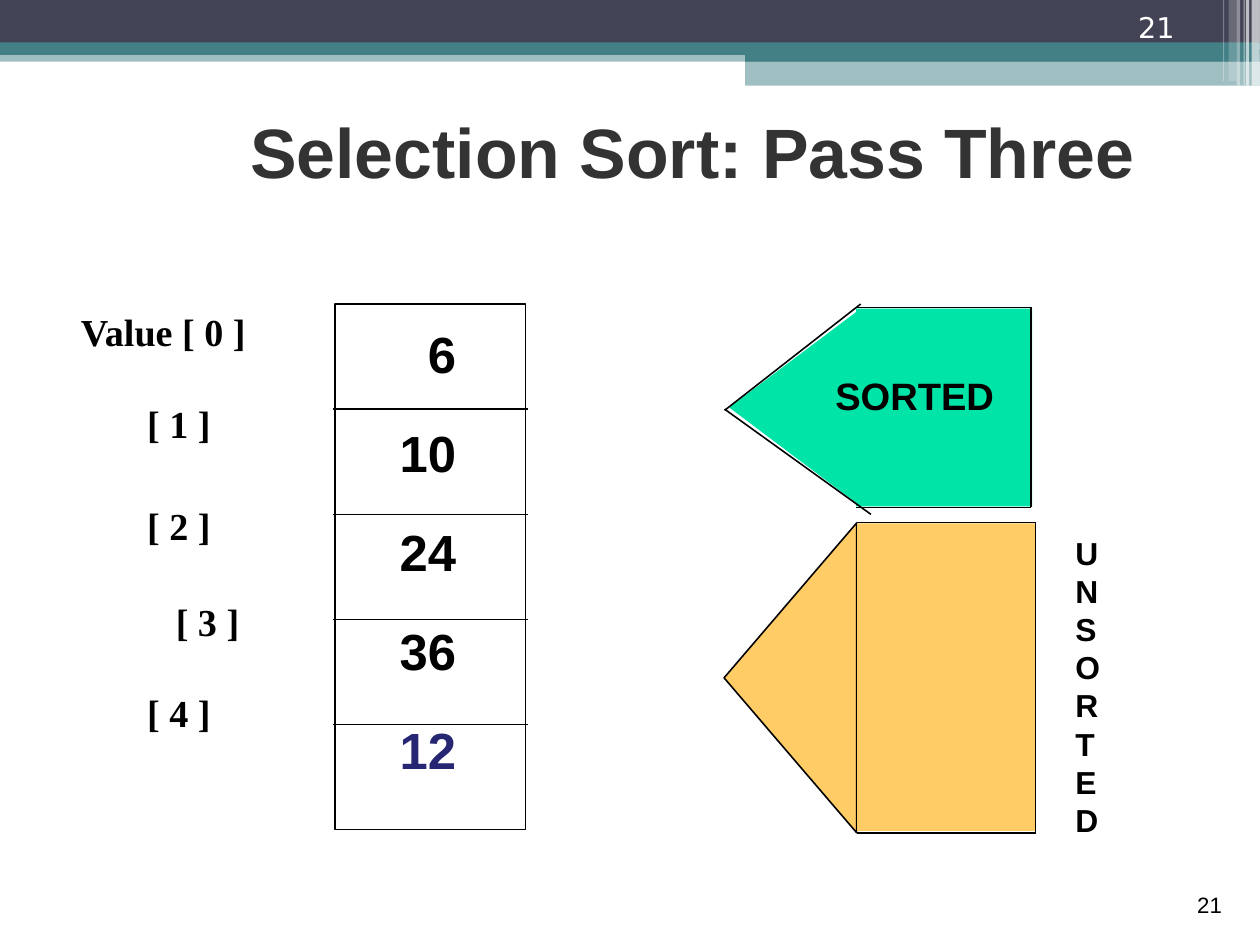
import pptx
import pptx.util
import pptx.dml.color
import pptx.enum.shapes
import pptx.enum.text
import pptx.oxml
import pptx.oxml.ns
import lxml.etree

Inches = pptx.util.Inches
Pt = pptx.util.Pt
Kind = pptx.enum.shapes.MSO_SHAPE
Align = pptx.enum.text.PP_ALIGN
Anchor = pptx.enum.text.MSO_ANCHOR
qn = pptx.oxml.ns.qn

HUES = {
    "navy": "424456", "teal": "438086", "white": "FFFFFF", "black": "000000",
    "gray": "333333", "blue": "262673", "green": "00E4A8", "gold": "FFCC66",
}
RGB = {name: pptx.dml.color.RGBColor.from_string(code) for name, code in HUES.items()}

# The page is 28 by 21 cm
deck = pptx.Presentation()
deck.slide_width = Inches(28 / 2.54)
deck.slide_height = Inches(21 / 2.54)
slide = deck.slides.add_slide(deck.slide_layouts[5])
shapes = slide.shapes
title = shapes.title


def draw(kind, at, fill=None, line=None, alpha=100, turn=0):
    """Add a preset shape; alpha is its opacity in percent."""
    shape = shapes.add_shape(kind, *[Inches(n) for n in at])
    shape.shadow.inherit = False
    shape.rotation = turn
    if fill:
        shape.fill.solid()
        shape.fill.fore_color.rgb = RGB[fill]
    else:
        shape.fill.background()
    if line:
        shape.line.color.rgb = RGB[line]
        shape.line.width = Pt(1)
    else:
        shape.line.fill.background()
    if alpha < 100:
        tint = shape.element.spPr.find(".//" + qn("a:srgbClr"))
        lxml.etree.SubElement(tint, qn("a:alpha")).set("val", str(alpha * 1000))


def put(text, at, size, shape=None, font="Arial", hue="black", bold=True,
        align=Align.LEFT, anchor=Anchor.TOP, gaps=(), dents=()):
    """Write one paragraph per line; gaps are points before, dents are inches."""
    shape = shape or shapes.add_textbox(0, 0, 0, 0)
    shape.left, shape.top, shape.width, shape.height = [Inches(n) for n in at]
    frame = shape.text_frame
    frame.word_wrap = True
    frame.auto_size = pptx.enum.text.MSO_AUTO_SIZE.NONE
    frame.vertical_anchor = anchor
    for i, words in enumerate(text.split("\n")):
        para = frame.add_paragraph() if i else frame.paragraphs[0]
        para.alignment = align
        para.space_before = Pt(gaps[i - 1] if i and gaps else 0)
        if dents:
            para._p.get_or_add_pPr().set("marL", str(Inches(dents[i])))
        run = para.add_run()
        run.text = words
        run.font.name = font
        run.font.size = Pt(size)
        run.font.bold = bold
        run.font.color.rgb = RGB[hue]
    return frame


# Header bands and the stripes at their right end
for at, hue, alpha in [
    ((0, 0.44, 11.02, 0.1), "teal", 50),
    ((0, 0, 11.02, 0.38), "navy", 100),
    ((0, 0.37, 11.02, 0.11), "teal", 100),
    ((6.52, 0.43, 4.5, 0.11), "teal", 100),
    ((6.52, 0.53, 4.5, 0.22), "teal", 50),
    ((10.95, 0, 0.07, 0.75), "white", 65),
    ((10.9, 0, 0.03, 0.75), "white", 65),
    ((10.88, 0, 0.01, 0.75), "white", 60),
    ((10.82, 0, 0.03, 0.75), "white", 40),
    ((10.75, 0, 0.07, 0.71), "white", 20),
    ((10.7, 0, 0.01, 0.71), "white", 30),
]:
    draw(Kind.RECTANGLE, at, hue, alpha=alpha)

put("Selection Sort: Pass Three", (2.02, 0, 8.09, 1.73), 44, shape=title,
    hue="gray", align=Align.CENTER, anchor=Anchor.BOTTOM)

# Array frame and the two arrow blocks
draw(Kind.RECTANGLE, (2.93, 2.66, 1.67, 4.6), line="black")
draw(Kind.ISOSCELES_TRIANGLE, (5.56, 5.35, 2.71, 1.16), "gold", "black", turn=270)
draw(Kind.RECTANGLE, (7.5, 4.58, 1.56, 2.69), "gold")
draw(Kind.ISOSCELES_TRIANGLE, (6.09, 2.99, 1.73, 1.15), "green", turn=270)
draw(Kind.RECTANGLE, (7.49, 2.7, 1.54, 1.73), "green")

lines = [(2.91, 2.66 + 0.92 * i, 4.62, 2.66 + 0.92 * i) for i in range(1, 5)]
for left, top, right, low in [(7.5, 4.57, 9.06, 7.29), (7.49, 2.69, 9.02, 4.44)]:
    lines += [(left, top, right, top), (left, low, right, low), (right, top, right, low)]
lines += [(6.34, 3.59, 7.53, 2.66), (6.34, 3.58, 7.62, 4.5)]
for ends in lines:
    line = shapes.add_connector(pptx.enum.shapes.MSO_CONNECTOR.STRAIGHT,
                                *[Inches(n) for n in ends])
    line.line.color.rgb = RGB["black"]
    line.line.width = Pt(1)
    lxml.etree.SubElement(line.element.spPr, qn("a:effectLst"))

put("Value [ 0 ]\n[ 1 ]\n[ 2 ]\n[ 3 ]\n[ 4 ]", (0.61, 2.65, 2.2, 3.8), 24,
    font="Times New Roman", gaps=(28.8, 36, 31.2, 28.8),
    dents=(0, 0.58, 0.58, 0.83, 0.58))
cells = put("6\n10\n24\n36\n12", (3.09, 2.77, 1, 4.1), 32,
            align=Align.RIGHT, gaps=[24] * 4)
cells.paragraphs[-1].runs[0].font.color.rgb = RGB["blue"]
put("SORTED", (7.21, 3.21, 1.7, 0.5), 24)
put("\n".join("UNSORTED"), (9.31, 4.62, 0.5, 2.77), 20)

put("21", (8.49, 7.53, 2.3, 0.55), 14, bold=False,
    align=Align.RIGHT, anchor=Anchor.BOTTOM)
put("21", (9.86, 0, 0.92, 0.44), 18, font="DejaVu Sans", hue="white",
    bold=False, anchor=Anchor.BOTTOM)

deck.save("out.pptx")
